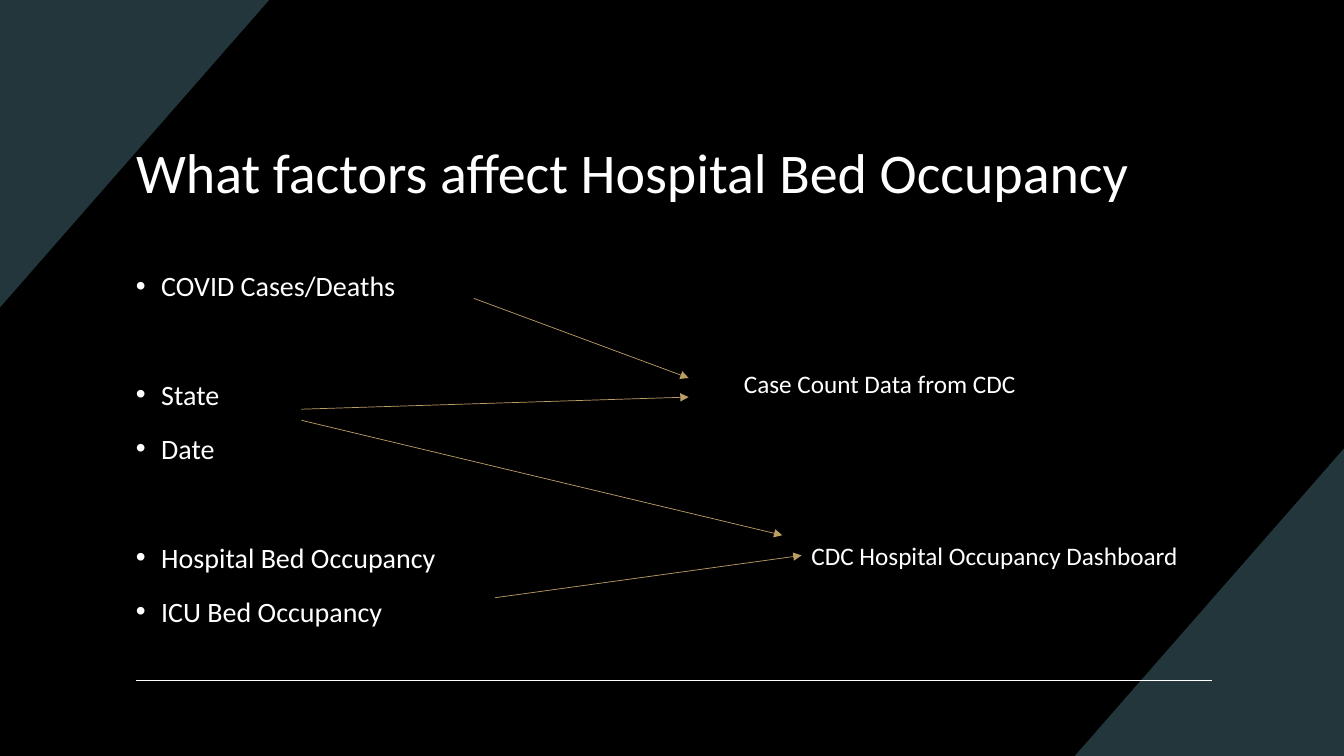
from dataclasses import dataclass

from lxml.etree import SubElement
from pptx import Presentation
from pptx.dml.color import RGBColor
from pptx.enum.shapes import MSO_CONNECTOR
from pptx.enum.text import MSO_ANCHOR, PP_ALIGN
from pptx.oxml.ns import qn
from pptx.util import Inches, Pt

WIDTH, HEIGHT = Inches(13.33), Inches(7.5)


@dataclass(frozen=True)
class Theme:
    """Colours, font and type sizes of the slide."""
    background: RGBColor = RGBColor(0x00, 0x00, 0x00)
    corner: RGBColor = RGBColor(0x22, 0x36, 0x3C)
    text: RGBColor = RGBColor(0xFF, 0xFF, 0xFF)
    arrow: RGBColor = RGBColor(0xBB, 0x9E, 0x66)
    font: str = "Calibri"
    title: int = 40
    factor: int = 20
    source: int = 18


THEME = Theme()
FACTOR_GROUPS = [
    ["COVID Cases/Deaths"],
    ["State", "Date"],
    ["Hospital Bed Occupancy", "ICU Bed Occupancy"],
]
SOURCES = [
    ("Case Count Data from CDC", (54.61, 48, 24.38, 5.33)),
    ("CDC Hospital Occupancy Dashboard", (59.64, 70.8, 32.11, 5.33)),
]
ARROWS = [
    ((35.26, 39.47), (51.24, 50)),
    ((22.43, 54.13), (51.24, 52.53)),
    ((36.83, 79.07), (59.64, 73.47)),
    ((22.43, 55.6), (58.21, 70.8)),
]
CORNERS = [
    [(100, 59.33), (100, 100), (79.97, 100)],
    [(0, 40.67), (0, 0), (20.03, 0)],
]
FACTOR_GAP, GROUP_GAP = 10, 48.7


def place(x, y):
    """Turn percentages of the slide's size into a position."""
    return round(WIDTH * x / 100), round(HEIGHT * y / 100)


def write(paragraph, text, *, size, before=0, spacing=1.0, bullet=False):
    """Fill a paragraph with formatted text."""
    paragraph.text = text
    paragraph.alignment = PP_ALIGN.LEFT
    paragraph.space_before = Pt(before)
    paragraph.line_spacing = spacing
    font = paragraph.runs[0].font
    font.name, font.size = THEME.font, Pt(size)
    font.color.rgb = THEME.text
    if bullet:
        properties = paragraph._p.get_or_add_pPr()
        properties.set("marL", str(Inches(0.25)))
        properties.set("indent", str(-Inches(0.25)))
        SubElement(properties, qn("a:buFont"), typeface="Arial")
        SubElement(properties, qn("a:buChar"), char="•")


def add_corner(slide, points):
    """Draw a filled triangle in a corner of the slide."""
    start, *others = [place(*point) for point in points]
    builder = slide.shapes.build_freeform(*start, scale=1.0)
    builder.add_line_segments(others, close=True)
    corner = builder.convert_to_shape()
    corner.shadow.inherit = False
    corner.fill.solid()
    corner.fill.fore_color.rgb = THEME.corner
    corner.line.fill.background()


def add_line(slide, start, end, *, color, width, arrow=False):
    """Draw a straight line, with an arrowhead if asked."""
    line = slide.shapes.add_connector(
        MSO_CONNECTOR.STRAIGHT, *place(*start), *place(*end))
    line.line.color.rgb = color
    line.line.width = Pt(width)
    if arrow:
        SubElement(line.line._get_or_add_ln(), qn("a:tailEnd"), type="triangle")
    SubElement(line._element.spPr, qn("a:effectLst"))


def add_title(slide, text):
    """Move and fill the title placeholder."""
    title = slide.shapes.title
    title.left, title.top = place(9.38, 12.67)
    title.width, title.height = place(81.24, 19.87)
    title.text_frame.vertical_anchor = MSO_ANCHOR.MIDDLE
    write(title.text_frame.paragraphs[0], text, size=THEME.title)


def add_text_box(slide, left, top, width, height):
    """Add a wrapping text box and return its text frame."""
    box = slide.shapes.add_textbox(*place(left, top), *place(width, height))
    box.text_frame.word_wrap = True
    return box.text_frame


def add_factors(slide):
    """List the factors, with a wider gap between groups."""
    frame = add_text_box(slide, 9.38, 34, 81.24, 52)
    paragraph = frame.paragraphs[0]
    for group_index, group in enumerate(FACTOR_GROUPS):
        for index, factor in enumerate(group):
            if group_index or index:
                paragraph = frame.add_paragraph()
            starts_group = group_index > 0 and index == 0
            write(paragraph, factor, size=THEME.factor, spacing=1.2, bullet=True,
                  before=GROUP_GAP if starts_group else FACTOR_GAP)


def main():
    """Build the slide and save it."""
    presentation = Presentation()
    presentation.slide_width, presentation.slide_height = WIDTH, HEIGHT
    slide = presentation.slides.add_slide(presentation.slide_layouts[5])
    slide.background.fill.solid()
    slide.background.fill.fore_color.rgb = THEME.background
    for points in CORNERS:
        add_corner(slide, points)
    add_line(slide, (10.13, 90), (90.17, 90), color=THEME.text, width=1)
    add_title(slide, "What factors affect Hospital Bed Occupancy")
    add_factors(slide)
    for start, end in ARROWS:
        add_line(slide, start, end, color=THEME.arrow, width=0.5, arrow=True)
    for source, bounds in SOURCES:
        frame = add_text_box(slide, *bounds)
        write(frame.paragraphs[0], source, size=THEME.source)
    presentation.save("out.pptx")


main()
